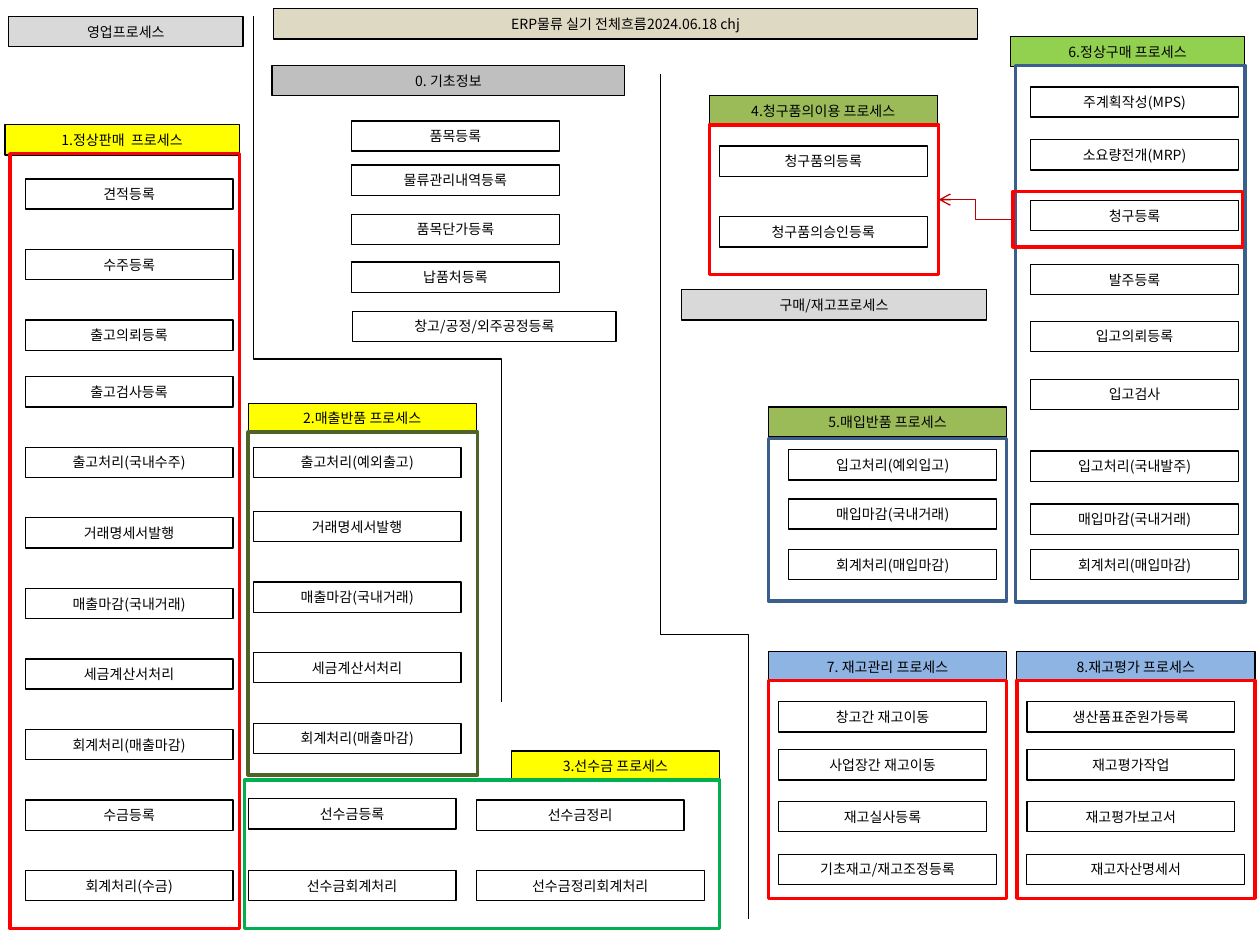
"""Build a one-slide overview of the ERP logistics process flow."""
from lxml import etree
from pptx import Presentation
from pptx.dml.color import RGBColor
from pptx.enum import shapes, text
from pptx.oxml import ns
from pptx.util import Inches, Pt

FONT = "Noto Sans CJK KR"
BOX_HEIGHT = 0.24
BOX_WIDTH = 1.65
BLACK = RGBColor(0x00, 0x00, 0x00)
YELLOW = RGBColor(0xFF, 0xFF, 0x00)
RED = RGBColor(0xFF, 0x00, 0x00)
DARK_RED = RGBColor(0xC0, 0x00, 0x00)
GREEN = RGBColor(0x00, 0xB0, 0x50)
LIME = RGBColor(0x92, 0xD0, 0x50)
OLIVE = RGBColor(0x9B, 0xBB, 0x59)
DARK_OLIVE = RGBColor(0x4F, 0x62, 0x28)
NAVY = RGBColor(0x3A, 0x5F, 0x8C)
SKY = RGBColor(0x8E, 0xB4, 0xE3)
BEIGE = RGBColor(0xDD, 0xD9, 0xC3)
GRAY = RGBColor(0xBF, 0xBF, 0xBF)
LIGHT_GRAY = RGBColor(0xD9, 0xD9, 0xD9)

FRAME_FORMAT = {
    "word_wrap": True,
    "auto_size": text.MSO_AUTO_SIZE.NONE,
    "vertical_anchor": text.MSO_ANCHOR.MIDDLE,
    "margin_left": Inches(0.1),
    "margin_right": Inches(0.1),
    "margin_top": Inches(0.03),
    "margin_bottom": Inches(0.03),
}
FONT_FORMAT = {"name": FONT, "size": Pt(8), "bold": False}


def format_box(shape, label, fill=None, line=BLACK, weight=0.75):
    if fill is None:
        shape.fill.background()
    else:
        shape.fill.solid()
        shape.fill.fore_color.rgb = fill
    shape.line.color.rgb = line
    shape.line.width = Pt(weight)
    if not label:
        return
    for name, value in FRAME_FORMAT.items():
        setattr(shape.text_frame, name, value)
    paragraph = shape.text_frame.paragraphs[0]
    paragraph.alignment = text.PP_ALIGN.CENTER
    run = paragraph.add_run()
    run.text = label
    for name, value in FONT_FORMAT.items():
        setattr(run.font, name, value)
    run.font.color.rgb = BLACK
    east_asian = etree.SubElement(run.font._element, ns.qn("a:ea"))
    east_asian.set("typeface", FONT)


def add_box(label, left, top, width, height=BOX_HEIGHT, **style):
    shape = slide.shapes.add_shape(
        shapes.MSO_SHAPE.RECTANGLE, *map(Inches, (left, top, width, height)))
    shape.shadow.inherit = False
    format_box(shape, label, **style)
    return shape


presentation = Presentation()
presentation.slide_width = Inches(10)
presentation.slide_height = Inches(7.5)
slide = presentation.slides.add_slide(presentation.slide_layouts[5])

title = slide.shapes.title
title.left, title.top, title.width, title.height = map(
    Inches, (2.17, 0.07, 5.59, BOX_HEIGHT))
format_box(title, "ERP물류 실기 전체흐름2024.06.18 chj", fill=BEIGE)

headers = [
    ("영업프로세스", 0.07, 0.13, 1.86, LIGHT_GRAY),
    ("구매/재고프로세스", 5.41, 2.3, 2.42, LIGHT_GRAY),
    ("0. 기초정보", 2.16, 0.52, 2.8, GRAY),
    ("1.정상판매  프로세스", 0.04, 0.99, 1.86, YELLOW),
    ("2.매출반품 프로세스", 1.97, 3.2, 1.81, YELLOW),
    ("3.선수금 프로세스", 4.06, 5.96, 1.65, YELLOW),
    ("4.청구품의이용 프로세스", 5.63, 0.76, 1.81, OLIVE),
    ("5.매입반품 프로세스", 6.1, 3.23, 1.89, OLIVE),
    ("6.정상구매 프로세스", 8.02, 0.29, 1.86, LIME),
    ("7. 재고관리 프로세스", 6.1, 5.17, 1.89, SKY),
    ("8.재고평가 프로세스", 8.07, 5.17, 1.89, SKY),
]
for label, left, top, width, color in headers:
    add_box(label, left, top, width, fill=color)

sales_tops = [1.42 + 0.56 * i for i in range(3)] + [2.99 + 0.56 * i for i in range(8)]
return_tops = [3.55] + [4.06 + 0.56 * i for i in range(4)]
stock_tops = [5.57, 5.95, 6.36]
columns = [
    (2.79, [0.96, 1.31, 1.7, 2.08],
     ["품목등록", "물류관리내역등록", "품목단가등록", "납품처등록"]),
    (0.2, sales_tops,
     ["견적등록", "수주등록", "출고의뢰등록", "출고검사등록", "출고처리(국내수주)",
      "거래명세서발행", "매출마감(국내거래)", "세금계산서처리",
      "회계처리(매출마감)", "수금등록", "회계처리(수금)"]),
    (2.01, return_tops,
     ["출고처리(예외출고)", "거래명세서발행", "매출마감(국내거래)",
      "세금계산서처리", "회계처리(매출마감)"]),
    (1.97, [6.34, 6.91], ["선수금등록", "선수금회계처리"]),
    (3.78, [6.35], ["선수금정리"]),
    (5.71, [1.16, 1.72], ["청구품의등록", "청구품의승인등록"]),
    (6.26, [3.57, 3.96, 4.36],
     ["입고처리(예외입고)", "매입마감(국내거래)", "회계처리(매입마감)"]),
    (8.18, [0.69, 1.11, 1.59, 2.1, 2.55, 3.01, 3.58, 4, 4.36],
     ["주계획작성(MPS)", "소요량전개(MRP)", "청구등록", "발주등록", "입고의뢰등록",
      "입고검사", "입고처리(국내발주)", "매입마감(국내거래)", "회계처리(매입마감)"]),
    (6.18, stock_tops, ["창고간 재고이동", "사업장간 재고이동", "재고실사등록"]),
    (8.15, stock_tops, ["생산품표준원가등록", "재고평가작업", "재고평가보고서"]),
]
for left, tops, labels in columns:
    for top, label in zip(tops, labels):
        add_box(label, left, top, BOX_WIDTH)

wide_boxes = [
    ("창고/공정/외주공정등록", 2.8, 2.47, 2.09),
    ("선수금정리회계처리", 3.78, 6.91, 1.81),
    ("기초재고/재고조정등록", 6.18, 6.78, 1.73),
    ("재고자산명세서", 8.15, 6.78, 1.73),
]
for wide_box in wide_boxes:
    add_box(*wide_box)

frames = [
    (0.08, 1.22, 1.82, 6.15, RED),
    (1.97, 3.43, 1.82, 2.72, DARK_OLIVE),
    (1.94, 6.19, 3.77, 1.18, GREEN),
    (6.1, 3.48, 1.89, 1.29, NAVY),
    (8.06, 0.52, 1.82, 4.26, NAVY),
    (6.1, 5.4, 1.89, 1.73, RED),
    (8.07, 5.4, 1.89, 1.73, RED),
]
for left, top, width, height, color in frames:
    add_box("", left, top, width, height, line=color, weight=2)
approval_frame = add_box("", 5.63, 0.99, 1.82, 1.19, line=RED, weight=2)
request_frame = add_box("", 8.04, 1.52, 1.82, 0.44, line=RED, weight=2)

request_arrow = slide.shapes.add_connector(
    shapes.MSO_CONNECTOR.ELBOW, *map(Inches, (8.04, 1.74, 7.45, 1.59)))
request_arrow.begin_connect(request_frame, 1)
request_arrow.end_connect(approval_frame, 3)
connectors = [(request_arrow, DARK_RED)]

dividers = [(2.01, 0.13, 3.98, 5.57, 50000), (5.24, 0.59, 5.94, 7.29, 66400)]
for left, top, right, bottom, bend in dividers:
    length, depth = bottom - top, right - left
    corner_left = (left + right - length) / 2
    corner_top = (top + bottom - depth) / 2
    divider = slide.shapes.add_connector(
        shapes.MSO_CONNECTOR.ELBOW,
        *map(Inches, (corner_left, corner_top, corner_left + length, corner_top + depth)))
    properties = divider._element.spPr
    transform = properties.find(ns.qn("a:xfrm"))
    transform.set("rot", "16200000")
    transform.set("flipH", "1")
    geometry = properties.find(ns.qn("a:prstGeom"))
    adjustments = geometry.find(ns.qn("a:avLst"))
    etree.SubElement(adjustments, ns.qn("a:gd"), name="adj1", fmla=f"val {bend}")
    connectors.append((divider, BLACK))

for connector, color in connectors:
    connector.line.color.rgb = color
    connector.line.width = Pt(0.75)
    etree.SubElement(connector._element.spPr, ns.qn("a:effectLst"))
arrow_line = request_arrow.line._get_or_add_ln()
etree.SubElement(arrow_line, ns.qn("a:tailEnd"), type="arrow")

presentation.save("out.pptx")
